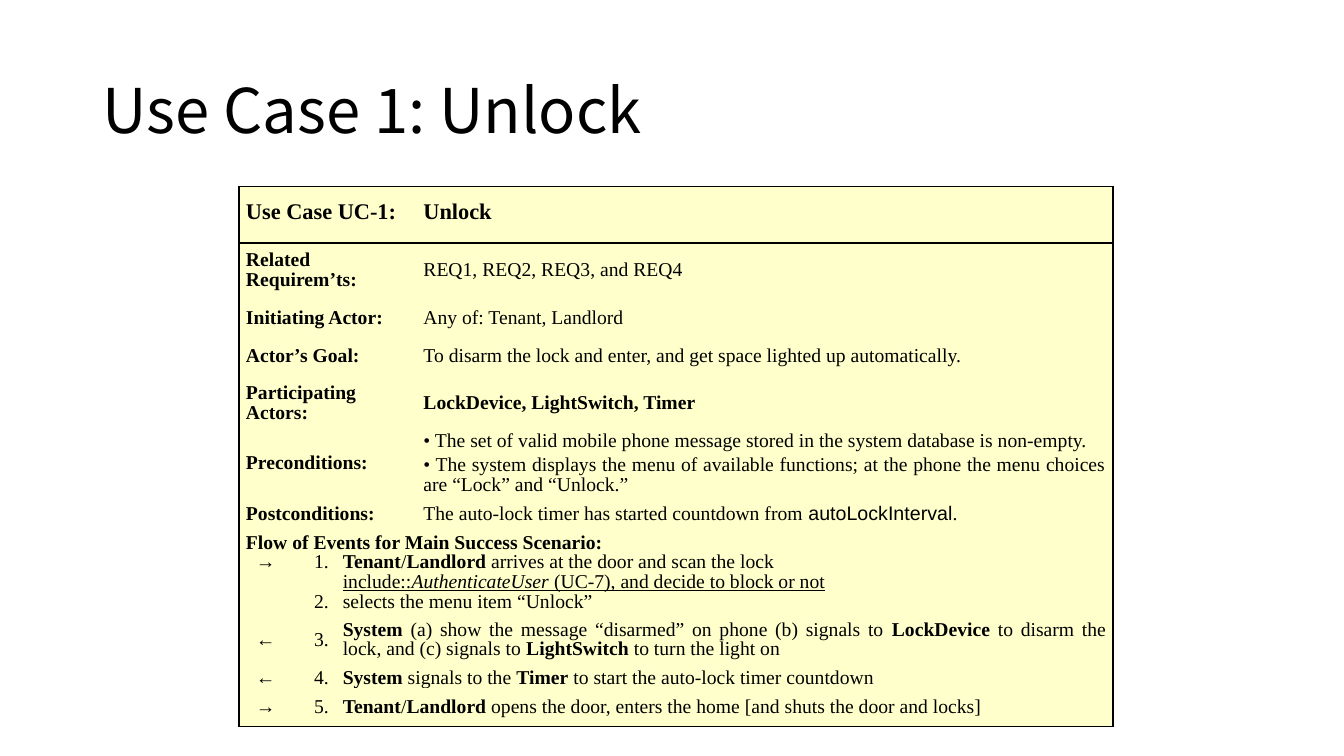
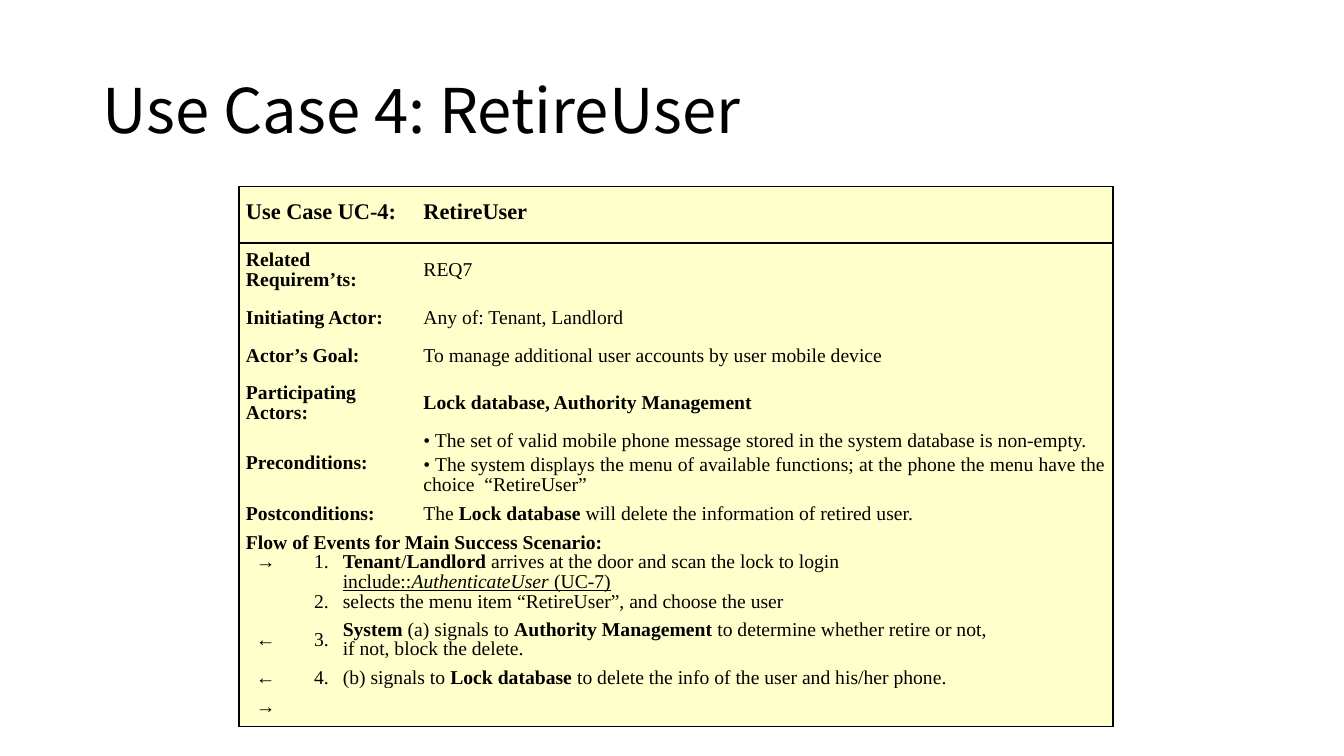
from dataclasses import dataclass
from typing import NamedTuple

from lxml.etree import SubElement
from pptx import Presentation
from pptx.dml.color import RGBColor
from pptx.enum.text import MSO_ANCHOR as Anchor, PP_ALIGN as Align
from pptx.oxml.ns import qn
from pptx.util import Inches, Pt


@dataclass(frozen=True)
class Theme:
    ink: RGBColor = RGBColor(0x00, 0x00, 0x00)
    paper: RGBColor = RGBColor(0xFF, 0xFF, 0xCC)
    title_font: str = "Noto Sans CJK SC"
    body_font: str = "Times New Roman"
    code_font: str = "Arial"
    title_size: int = 44
    head_size: int = 16
    body_size: int = 14
    leading: int = 14
    border: int = 1


THEME = Theme()
COLS = (0.53, 0.43, 0.8, 6.91)
ROWS = (0.56, 0.56, 0.38, 0.38, 0.56, 0.62, 0.38, 0.19, 0.19, 0.38, 0.56, 0.19, 0.38)
VALUE_COL = len(COLS) - 1
FLOW_ROW = 7


class Run(NamedTuple):
    text: str
    bold: bool = False
    italic: bool = False
    underline: bool = False
    font: str | None = None


Line = tuple[Run, ...]


class Style(NamedTuple):
    size: int = THEME.body_size
    before: int = 0
    align: Align = Align.JUSTIFY
    anchor: Anchor = Anchor.MIDDLE


HEAD = Style(THEME.head_size, 6, Align.LEFT)
FIELD = Style(before=3)
FLOW = Style(before=4)
ARROW = Style(align=Align.CENTER)
NUMBER = Style(align=Align.RIGHT, anchor=Anchor.BOTTOM)
NUMBER_MIDDLE = Style(align=Align.RIGHT)
STEP = Style()


@dataclass(frozen=True)
class Step:
    arrow: str
    number: str
    lines: tuple[Line, ...]


@dataclass(frozen=True)
class UseCase:
    number: int
    name: str
    requirements: str
    goal: str
    actors: str
    menu: str
    postcondition: Line
    steps: tuple[Step, ...]


def plain(text: str) -> Line:
    return (Run(text),)


def bold(text: str) -> Line:
    return (Run(text, bold=True),)


def marked(text: str) -> Line:
    return tuple(Run(part, bold=i % 2 == 1) for i, part in enumerate(text.split("*")) if part)


def include(rest: str) -> Line:
    return (
        Run("include::", underline=True),
        Run("AuthenticateUser", italic=True, underline=True),
        Run(rest, underline=True),
    )


CASES = (
    UseCase(
        1, "Unlock", "REQ1, REQ2, REQ3, and REQ4",
        "To disarm the lock and enter, and get space lighted up automatically.",
        "LockDevice, LightSwitch, Timer",
        "choices are “Lock” and “Unlock.”",
        (
            Run("The auto-lock timer has started countdown from "),
            Run("autoLockInterval", font=THEME.code_font),
            Run("."),
        ),
        (
            Step("→", "1.", (marked("*Tenant*/*Landlord* arrives at the door and scan the lock"),)),
            Step("", "2.", (
                include(" (UC-7), and decide to block or not"),
                plain("selects the menu item “Unlock”"),
            )),
            Step("←", "3.", (marked(
                "*System* (a) show the message “disarmed” on phone (b) signals to *LockDevice*"
                " to disarm the lock, and (c) signals to *LightSwitch* to turn the light on"),)),
            Step("←", "4.", (marked(
                "*System* signals to the *Timer* to start the auto-lock timer countdown"),)),
            Step("→", "5.", (marked(
                "*Tenant*/*Landlord* opens the door, enters the home [and shuts the door and locks]"),)),
        ),
    ),
    UseCase(
        4, "RetireUser", "REQ7",
        "To manage additional user accounts by user mobile device",
        "Lock database, Authority Management",
        "have the choice  “RetireUser”",
        marked("The *Lock database *will delete the information of retired user."),
        (
            Step("→", "1.", (marked(
                "*Tenant*/*Landlord* arrives at the door and scan the lock to login"),)),
            Step("", "2.", (
                include(" (UC-7)"),
                plain("selects the menu item “RetireUser”, and choose the user"),
            )),
            Step("←", "3.", (
                marked("*System* (a) signals to *Authority Management* to determine whether retire or not,"),
                plain("if not, block the delete."),
            )),
            Step("←", "4.", (marked(
                "(b) signals to *Lock database* to delete the info of the user and his/her phone."),)),
            Step("→", "", ()),
        ),
    ),
)


def write(cell, lines: tuple[Line, ...], style: Style) -> None:
    cell.vertical_anchor = style.anchor
    tf = cell.text_frame
    for i, line in enumerate(lines):
        p = tf.add_paragraph() if i else tf.paragraphs[0]
        p.alignment = style.align
        p.line_spacing = Pt(THEME.leading)
        p.space_before = Pt(style.before)
        p.font.size = Pt(style.size)
        p.font.name = THEME.body_font
        p.font.color.rgb = THEME.ink
        for run in line:
            r = p.add_run()
            r.text = run.text
            r.font.bold = run.bold
            if run.italic:
                r.font.italic = True
            if run.underline:
                r.font.underline = True
            if run.font:
                r.font.name = run.font


def set_borders(cell, edges: dict[str, bool]) -> None:
    tc_pr = cell._tc.get_or_add_tcPr()
    for i, (edge, visible) in enumerate(edges.items()):
        ln = tc_pr.makeelement(qn(f"a:{edge}"), {"w": str(Pt(THEME.border))})
        tc_pr.insert(i, ln)
        if visible:
            fill = SubElement(ln, qn("a:solidFill"))
            SubElement(fill, qn("a:srgbClr"), val=str(THEME.ink))
        else:
            SubElement(ln, qn("a:noFill"))


def add_title(s, text: str) -> None:
    tf = s.shapes.add_textbox(Inches(0.92), Inches(0.4), Inches(11.5), Inches(1.45)).text_frame
    tf.word_wrap = True
    tf.vertical_anchor = Anchor.MIDDLE
    p = tf.paragraphs[0]
    p.text = text
    p.line_spacing = 0.9
    p.font.size = Pt(THEME.title_size)
    p.font.name = THEME.title_font
    p.font.color.rgb = THEME.ink


def add_grid(s):
    table = s.shapes.add_table(
        len(ROWS), len(COLS), Inches(2.37), Inches(1.85), Inches(sum(COLS)), Inches(sum(ROWS))
    ).table
    table.first_row = table.horz_banding = False
    for column, width in zip(table.columns, COLS):
        column.width = Inches(width)
    for row, height in zip(table.rows, ROWS):
        row.height = Inches(height)
    for i in range(len(ROWS)):
        first, last = (0, VALUE_COL - 1) if i < FLOW_ROW else (0 if i == FLOW_ROW else 2, VALUE_COL)
        table.cell(i, first).merge(table.cell(i, last))
        for j in range(len(COLS)):
            cell = table.cell(i, j)
            cell.margin_left = cell.margin_right = Inches(0.07)
            cell.margin_top = cell.margin_bottom = Inches(0)
            cell.fill.solid()
            cell.fill.fore_color.rgb = THEME.paper
            end = last if j == first else j
            set_borders(cell, {
                "lnL": j == 0,
                "lnR": end == VALUE_COL,
                "lnT": i <= 1,
                "lnB": i in (0, len(ROWS) - 1),
            })
    return table


def add_use_case(s, case: UseCase) -> None:
    add_title(s, f"Use Case {case.number}: {case.name}")
    table = add_grid(s)
    preconditions = (
        plain("• The set of valid mobile phone message stored in the system database is non-empty."),
        plain("• The system displays the menu of available functions; at the phone the menu " + case.menu),
    )
    fields = (
        (f"Use Case UC-{case.number}:", (bold(case.name),)),
        ("Related Requirem’ts:", (plain(case.requirements),)),
        ("Initiating Actor:", (plain("Any of: Tenant, Landlord"),)),
        ("Actor’s Goal:", (plain(case.goal),)),
        ("Participating Actors:", (bold(case.actors),)),
        ("Preconditions:", preconditions),
        ("Postconditions:", (case.postcondition,)),
    )
    for i, (label, lines) in enumerate(fields):
        style = FIELD if i else HEAD
        write(table.cell(i, 0), (bold(label),), style)
        write(table.cell(i, VALUE_COL), lines, style)
    write(table.cell(FLOW_ROW, 0), (bold("Flow of Events for Main Success Scenario:"),), FLOW)
    for i, step in enumerate(case.steps, FLOW_ROW + 1):
        if step.arrow:
            write(table.cell(i, 0), (plain(step.arrow),), ARROW)
        if step.number:
            write(table.cell(i, 1), (plain(step.number),), NUMBER_MIDDLE if step.arrow else NUMBER)
        write(table.cell(i, 2), step.lines, STEP)


def main() -> None:
    prs = Presentation()
    prs.slide_width, prs.slide_height = Inches(13.33), Inches(7.5)
    for case in CASES:
        add_use_case(prs.slides.add_slide(prs.slide_layouts[6]), case)
    prs.save("out.pptx")


if __name__ == "__main__":
    main()
